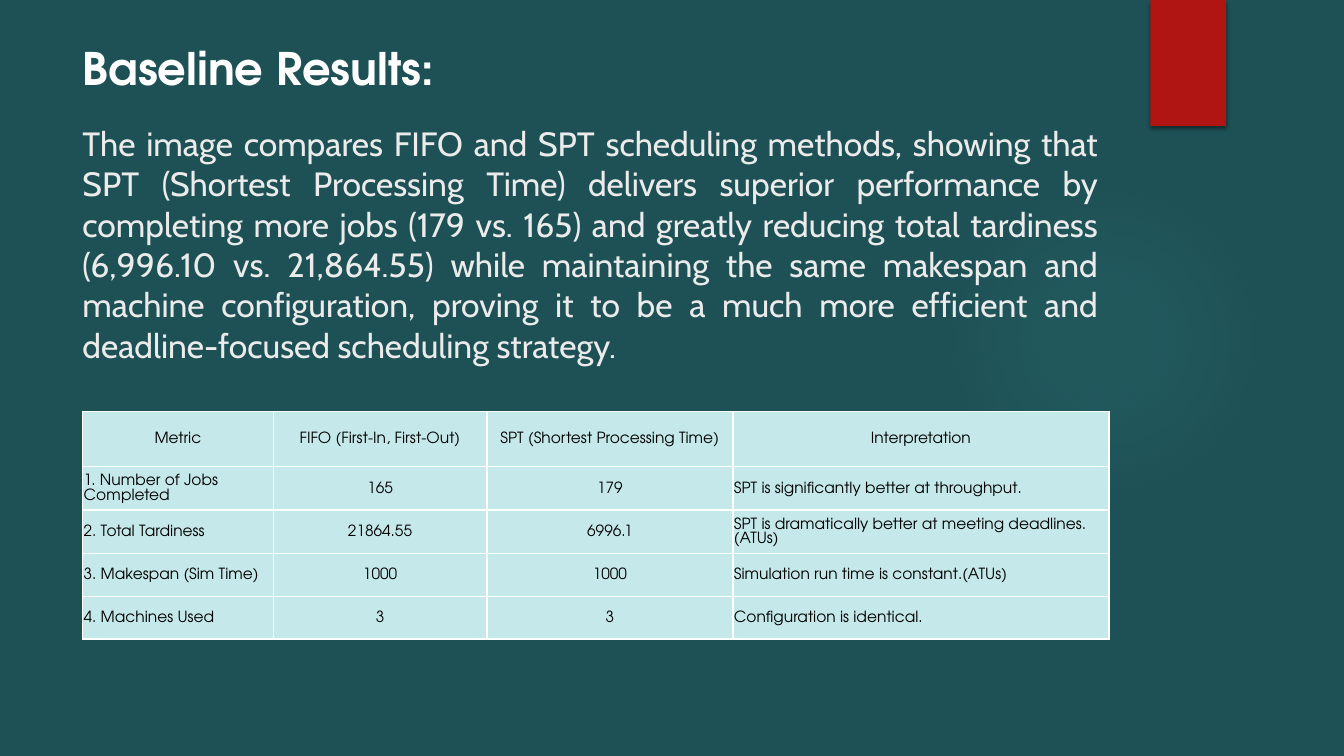
from dataclasses import dataclass
from typing import Optional

from lxml.etree import SubElement
from pptx import Presentation
from pptx.dml.color import RGBColor as RGB
from pptx.enum.shapes import MSO_SHAPE as SHAPE
from pptx.enum.text import MSO_ANCHOR as ANCHOR, PP_ALIGN as ALIGN
from pptx.oxml import parse_xml
from pptx.oxml.ns import nsdecls, qn
from pptx.util import Inches, Pt


@dataclass(frozen=True)
class Theme:
    """Colours, fonts and type sizes of the slide."""
    background: str = "1E5155"
    glow: str = "50B9C1"
    ribbon: str = "B01513"
    white: str = "FFFFFF"
    body: str = "EBEBEB"
    cell: str = "C5E8EA"
    ink: str = "000000"
    heading_font: str = "TeX Gyre Adventor"
    body_font: str = "Cabin"
    heading_size: int = 32
    body_size: int = 24
    table_size: int = 11


@dataclass(frozen=True)
class Box:
    """A rectangle in inches."""
    left: float
    top: float
    width: float
    height: float

    def emu(self) -> list:
        """Return the rectangle as lengths."""
        return [Inches(v) for v in (self.left, self.top, self.width, self.height)]


@dataclass(frozen=True)
class TextBlock:
    """A text box with one uniformly styled paragraph."""
    box: Box
    text: str
    font: str
    size: int
    color: str
    bold: bool = False
    align: Optional[ALIGN] = None


T = Theme()
BLOCKS = [
    TextBlock(
        Box(0.72, 1.17, 10.27, 2.52),
        "The image compares FIFO and SPT scheduling methods, showing that SPT "
        "(Shortest Processing Time) delivers superior performance by completing "
        "more jobs (179 vs. 165) and greatly reducing total tardiness (6,996.10 "
        "vs. 21,864.55) while maintaining the same makespan and machine "
        "configuration, proving it to be a much more efficient and "
        "deadline-focused scheduling strategy.",
        T.body_font, T.body_size, T.body, align=ALIGN.JUSTIFY),
    TextBlock(Box(0.72, 0.36, 4.35, 0.64), "Baseline Results:",
              T.heading_font, T.heading_size, T.white, bold=True),
]
TABLE_BOX = Box(0.82, 4.08, 10.18, 2.26)
COLUMNS = (1.89, 2.12, 2.44, 3.73)
ROWS = (0.55, 0.43, 0.43, 0.43, 0.42)
RESULTS = [
    ("Metric", "FIFO (First-In, First-Out)", "SPT (Shortest Processing Time)",
     "Interpretation"),
    ("1. Number of Jobs Completed", "165", "179",
     "SPT is significantly better at throughput."),
    ("2. Total Tardiness", "21864.55", "6996.1",
     "SPT is dramatically better at meeting deadlines.(ATUs)"),
    ("3. Makespan (Sim Time)", "1000", "1000",
     "Simulation run time is constant.(ATUs)"),
    ("4. Machines Used", "3", "3", "Configuration is identical."),
]


def style_run(p, font: str, size: int, color: str, bold: bool = False) -> None:
    """Format every run of a paragraph."""
    for r in p.runs:
        r.font.name, r.font.size, r.font.bold = font, Pt(size), bold
        r.font.color.rgb = RGB.from_string(color)


def add_plain_shape(s, kind: SHAPE, box: Box, color: str):
    """Add a filled shape without outline or shadow."""
    sp = s.shapes.add_shape(kind, *box.emu())
    sp.shadow.inherit = False
    sp.fill.solid()
    sp.fill.fore_color.rgb = RGB.from_string(color)
    sp.line.fill.background()
    return sp


def add_glow(s) -> None:
    """Add the faint radial glow on the right."""
    sp = add_plain_shape(s, SHAPE.OVAL, Box(9.41, 1.83, 3.08, 3.08), T.glow)
    stops = "".join(
        f'<a:gs pos="{pos}000"><a:srgbClr val="{T.glow}">'
        f'<a:alpha val="{alpha}000"/></a:srgbClr></a:gs>'
        for pos, alpha in ((0, 7), (36, 6), (69, 0)))
    gradient = parse_xml(
        f'<a:gradFill {nsdecls("a")}><a:gsLst>{stops}</a:gsLst>'
        '<a:path path="circle"><a:fillToRect l="50000" t="50000" r="50000" '
        'b="50000"/></a:path></a:gradFill>')
    solid = sp._element.spPr.find(qn("a:solidFill"))
    solid.getparent().replace(solid, gradient)


def add_ribbon(s) -> None:
    """Add the red ribbon with its soft shadow."""
    sp = add_plain_shape(s, SHAPE.RECTANGLE, Box(11.41, 0, 0.75, 1.25), T.ribbon)
    effects = sp._element.spPr.find(qn("a:effectLst"))
    effects.append(parse_xml(
        f'<a:outerShdw {nsdecls("a")} blurRad="{Pt(3)}" dist="{Pt(2)}" '
        'dir="5400000" rotWithShape="0"><a:srgbClr val="000000">'
        '<a:alpha val="45000"/></a:srgbClr></a:outerShdw>'))


def add_text(s, block: TextBlock) -> None:
    """Add one text block."""
    tf = s.shapes.add_textbox(*block.box.emu()).text_frame
    tf.word_wrap = True
    tf.text = block.text
    p = tf.paragraphs[0]
    p.alignment = block.align
    style_run(p, block.font, block.size, block.color, block.bold)


def set_borders(cell) -> None:
    """Draw thin white borders around a cell."""
    tc_pr = cell._tc.get_or_add_tcPr()
    for i, side in enumerate(("lnL", "lnR", "lnT", "lnB")):
        ln = parse_xml(f'<a:{side} {nsdecls("a")} w="{Pt(1)}"/>')
        fill = SubElement(ln, qn("a:solidFill"))
        SubElement(fill, qn("a:srgbClr"), val=T.white)
        tc_pr.insert(i, ln)


def fill_cell(cell, text: str, centred: bool) -> None:
    """Write and style one table cell."""
    cell.fill.solid()
    cell.fill.fore_color.rgb = RGB.from_string(T.cell)
    cell.margin_left = cell.margin_right = cell.margin_top = Inches(0.01)
    cell.margin_bottom = 0
    cell.vertical_anchor = ANCHOR.MIDDLE
    cell.text_frame.text = text
    p = cell.text_frame.paragraphs[0]
    p.alignment = ALIGN.CENTER if centred else ALIGN.LEFT
    style_run(p, T.heading_font, T.table_size, T.ink)
    set_borders(cell)


def add_results(s) -> None:
    """Add the table comparing both methods."""
    table = s.shapes.add_table(len(ROWS), len(COLUMNS), *TABLE_BOX.emu()).table
    for column, width in zip(table.columns, COLUMNS):
        column.width = Inches(width)
    for row, height in zip(table.rows, ROWS):
        row.height = Inches(height)
    for i, values in enumerate(RESULTS):
        for j, text in enumerate(values):
            fill_cell(table.cell(i, j), text, centred=i == 0 or j in (1, 2))


def main() -> None:
    """Build and save the slide."""
    prs = Presentation()
    prs.slide_width, prs.slide_height = Inches(13.33), Inches(7.5)
    s = prs.slides.add_slide(prs.slide_layouts[6])
    s.background.fill.solid()
    s.background.fill.fore_color.rgb = RGB.from_string(T.background)
    add_glow(s)
    add_ribbon(s)
    for block in BLOCKS:
        add_text(s, block)
    add_results(s)
    prs.save("out.pptx")


if __name__ == "__main__":
    main()
